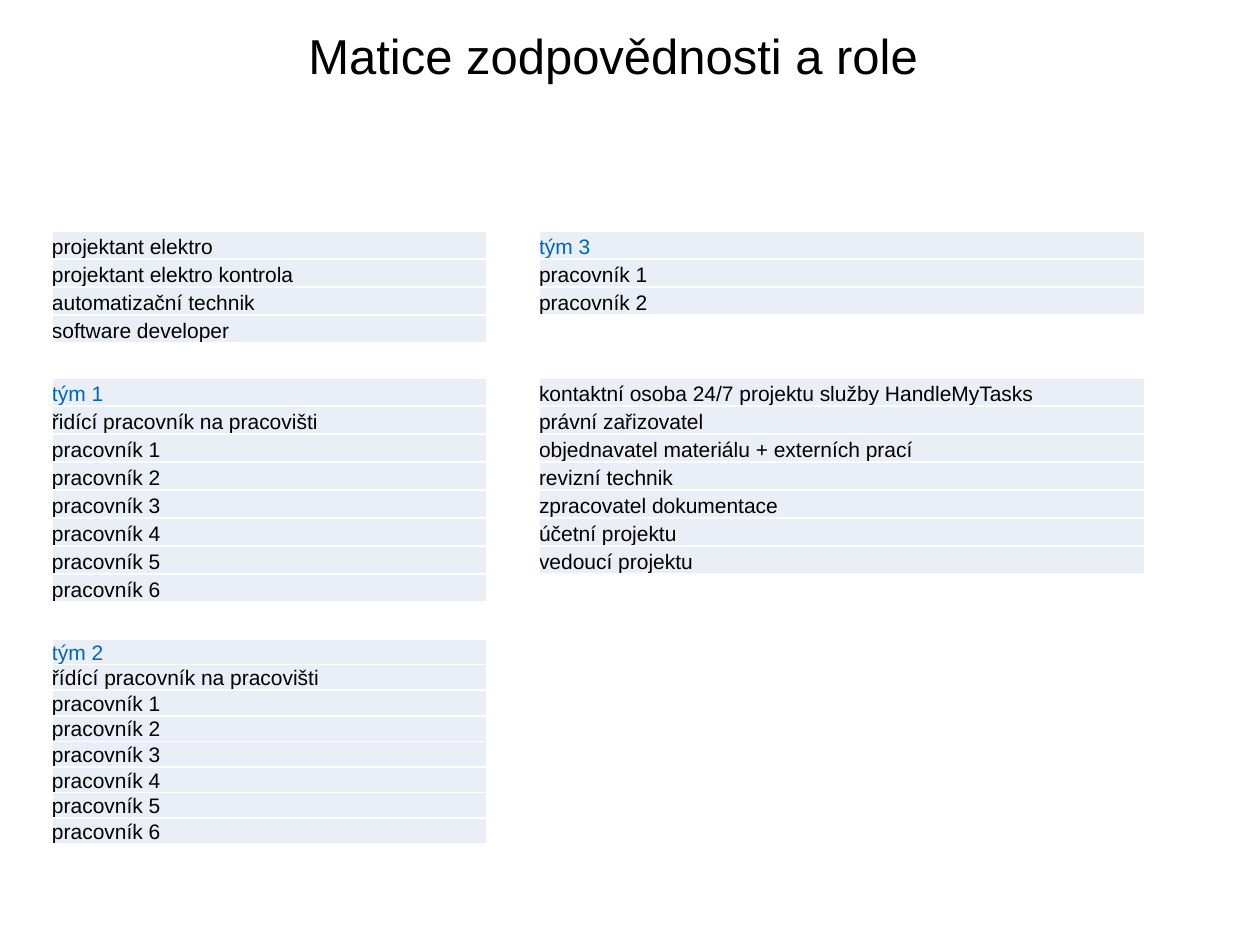
from dataclasses import dataclass

from lxml.etree import SubElement
from pptx import Presentation
from pptx.dml.color import RGBColor
from pptx.enum.text import MSO_ANCHOR
from pptx.oxml.ns import qn
from pptx.slide import Slide
from pptx.table import _Cell
from pptx.text.text import _Paragraph
from pptx.util import Emu, Pt

SCALE = 914400 / 126
FONT = "Arial"
BLACK, BLUE, WHITE, PALE = "000000", "0065BD", "FFFFFF", "EAEFF7"
LEFT, LEFT_WIDTH = 52, 435
RIGHT, RIGHT_WIDTH = 539, 606
TOP, MIDDLE, BOTTOM = 231, 378, 639
ROW = 28


@dataclass(frozen=True)
class RoleList:
    left: int
    top: int
    width: int
    height: int
    roles: list[str]
    team: str = ""


def px(length: float) -> Emu:
    return Emu(round(length * SCALE))


def color(value: str) -> RGBColor:
    return RGBColor.from_string(value)


def workers(count: int) -> list[str]:
    return [f"pracovník {number}" for number in range(1, count + 1)]


def set_font(para: _Paragraph, size: int, value: str) -> None:
    para.font.name = FONT
    para.font.size = Pt(size)
    para.font.color.rgb = color(value)


def add_borders(cell: _Cell) -> None:
    properties = cell._tc.get_or_add_tcPr()
    for position, side in enumerate(("lnL", "lnR", "lnT", "lnB")):
        line = SubElement(properties, qn(f"a:{side}"), w=str(Pt(1)))
        fill = SubElement(line, qn("a:solidFill"))
        SubElement(fill, qn("a:srgbClr"), val=WHITE)
        properties.insert(position, line)


def fill_cell(cell: _Cell, text: str, value: str) -> None:
    cell.margin_left = cell.margin_right = cell.margin_top = cell.margin_bottom = 0
    cell.vertical_anchor = MSO_ANCHOR.BOTTOM
    cell.fill.solid()
    cell.fill.fore_color.rgb = color(PALE)
    add_borders(cell)
    cell.text = text
    set_font(cell.text_frame.paragraphs[0], 12, value)


def add_role_list(page: Slide, item: RoleList) -> None:
    lines = ([item.team] if item.team else []) + item.roles
    table = page.shapes.add_table(
        len(lines), 1, px(item.left), px(item.top), px(item.width), px(item.height)
    ).table
    table.first_row = table.horz_banding = False
    for index, text in enumerate(lines):
        table.rows[index].height = px(item.height / len(lines))
        is_team = bool(item.team) and index == 0
        fill_cell(table.cell(index, 0), text, BLUE if is_team else BLACK)


def add_title(page: Slide, text: str) -> None:
    box = page.shapes.add_textbox(px(296), px(26), px(926), px(150))
    box.text_frame.word_wrap = True
    para = box.text_frame.paragraphs[0]
    para.text = text
    para.line_spacing = 0.9
    set_font(para, 28, BLACK)


ROLE_LISTS = [
    RoleList(LEFT, TOP, LEFT_WIDTH, 4 * ROW, [
        "projektant elektro",
        "projektant elektro kontrola",
        "automatizační technik",
        "software developer",
    ]),
    RoleList(LEFT, MIDDLE, LEFT_WIDTH, 8 * ROW,
             ["řidící pracovník na pracovišti", *workers(6)], "tým 1"),
    RoleList(LEFT, BOTTOM, LEFT_WIDTH, 205,
             ["řídící pracovník na pracovišti", *workers(6)], "tým 2"),
    RoleList(RIGHT, TOP, RIGHT_WIDTH, 3 * ROW, workers(2), "tým 3"),
    RoleList(RIGHT, MIDDLE, RIGHT_WIDTH, 7 * ROW, [
        "kontaktní osoba 24/7 projektu služby HandleMyTasks",
        "právní zařizovatel",
        "objednavatel materiálu + externích prací",
        "revizní technik",
        "zpracovatel dokumentace",
        "účetní projektu",
        "vedoucí projektu",
    ]),
]


def main() -> None:
    deck = Presentation()
    deck.slide_width, deck.slide_height = px(1260), px(945)
    page = deck.slides.add_slide(deck.slide_layouts[6])
    add_title(page, "Matice zodpovědnosti a role")
    for item in ROLE_LISTS:
        add_role_list(page, item)
    deck.save("out.pptx")


if __name__ == "__main__":
    main()
